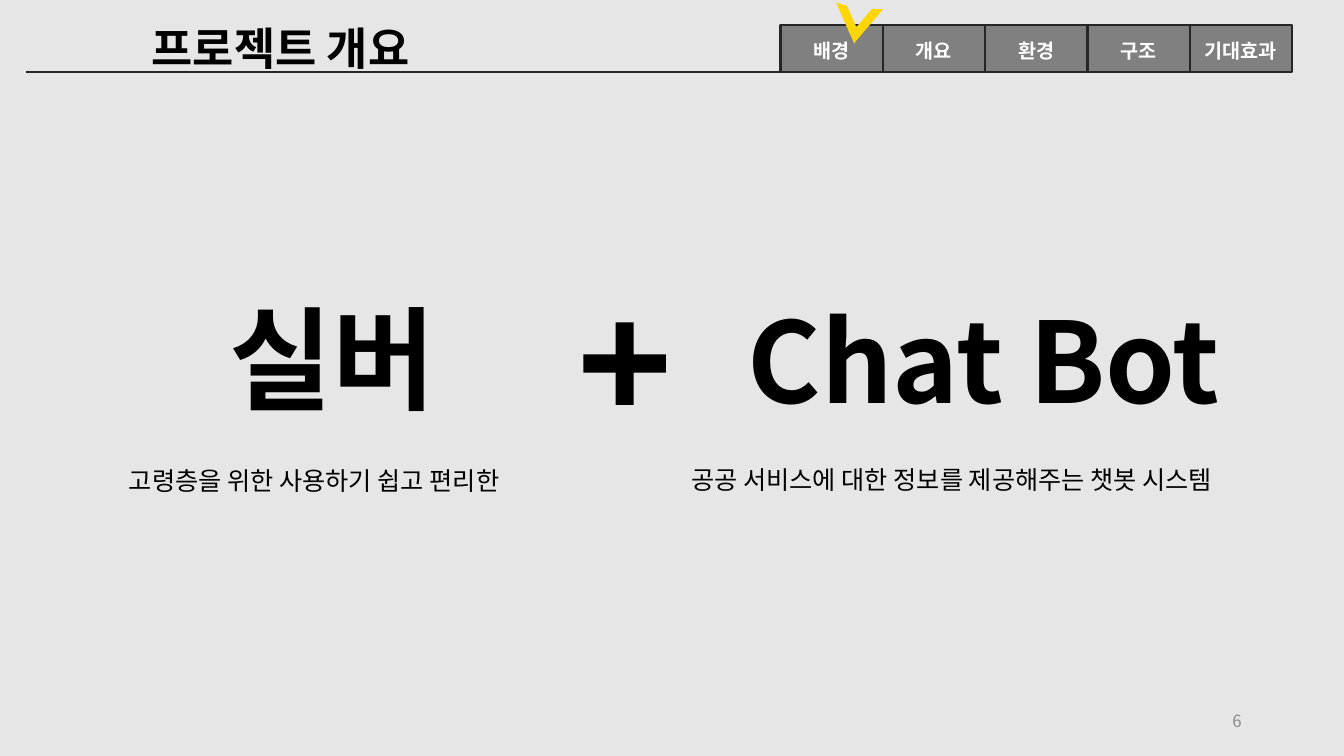
"""Build the project overview slide with its section tabs and two-part concept."""
from lxml.etree import SubElement
from pptx import Presentation
from pptx.dml.color import RGBColor
from pptx.enum.shapes import MSO_CONNECTOR, MSO_SHAPE
from pptx.enum.text import MSO_ANCHOR, PP_ALIGN
from pptx.oxml.ns import qn
from pptx.util import Pt

FONT = "Noto Sans CJK KR"
BACKGROUND = RGBColor(0xE7, 0xE6, 0xE6)
BLACK = RGBColor(0, 0, 0)
WHITE = RGBColor(0xFF, 0xFF, 0xFF)
TAB_GRAY = RGBColor(0x80, 0x80, 0x80)
OUTLINE = RGBColor(0x26, 0x26, 0x26)
YELLOW = RGBColor(0xFC, 0xD6, 0x05)
NUMBER_GRAY = RGBColor(0x8C, 0x8C, 0x8C)


def write(shape, text, size, color, bold, align, anchor):
    frame = shape.text_frame
    frame.word_wrap = True
    frame.vertical_anchor = anchor
    paragraph = frame.paragraphs[0]
    paragraph.text = text
    paragraph.alignment = align
    font = paragraph.font
    font.name, font.size, font.bold = FONT, Pt(size), bold
    font.color.rgb = color
    properties = paragraph._p.pPr.find(qn("a:defRPr"))
    SubElement(properties, qn("a:ea")).set("typeface", FONT)


def add_filled(shapes, kind, left, top, width, height, color):
    shape = shapes.add_shape(kind, Pt(left), Pt(top), Pt(width), Pt(height))
    shape.shadow.inherit = False
    shape.fill.solid()
    shape.fill.fore_color.rgb = color
    shape.line.fill.background()
    return shape


presentation = Presentation()
presentation.slide_width, presentation.slide_height = Pt(960), Pt(540)
slide = presentation.slides.add_slide(presentation.slide_layouts[6])
slide.background.fill.solid()
slide.background.fill.fore_color.rgb = BACKGROUND

header_line = slide.shapes.add_connector(
    MSO_CONNECTOR.STRAIGHT, Pt(18.7), Pt(51.5), Pt(923), Pt(51.5))
header_line.line.color.rgb = OUTLINE
header_line.line.width = Pt(1.5)
SubElement(header_line._element.spPr, qn("a:effectLst"))

tabs = slide.shapes.add_group_shape()
for index, label in enumerate(["배경", "개요", "환경", "구조", "기대효과"]):
    tab = add_filled(tabs.shapes, MSO_SHAPE.RECTANGLE,
                     557.5 + 73.1 * index, 18, 73, 33.4, TAB_GRAY)
    tab.line.color.rgb = OUTLINE
    tab.line.width = Pt(1.5)
    tab.text_frame.margin_bottom = 0
    write(tab, label, 14, WHITE, True, PP_ALIGN.CENTER, MSO_ANCHOR.MIDDLE)

check_mark = slide.shapes.add_group_shape()
for left, top, rotation, flip in [(610, 6.5, 0, "0"), (593.3, 4.3, 16.5, "1")]:
    stroke = add_filled(check_mark.shapes, MSO_SHAPE.DIAGONAL_STRIPE,
                        left, top, 20.9, 24.5, YELLOW)
    stroke.adjustments[0] = 0.61
    stroke.rotation = rotation
    stroke._element.spPr.find(qn("a:xfrm")).set("flipH", flip)

plus = add_filled(slide.shapes, MSO_SHAPE.CROSS, 416.7, 230.2, 59, 59, BLACK)
plus.adjustments[0] = 0.39

CENTER, LEFT, RIGHT = PP_ALIGN.CENTER, PP_ALIGN.LEFT, PP_ALIGN.RIGHT
TOP, MIDDLE = MSO_ANCHOR.TOP, MSO_ANCHOR.MIDDLE
texts = [
    ("프로젝트 개요", -57, 11.5, 515, 46, 32, BLACK, True, CENTER, TOP),
    ("실버", 128, 203, 219, 104.4, 80, BLACK, True, CENTER, TOP),
    ("Chat Bot", 500.4, 204.5, 404.6, 104.4, 80, BLACK, True, CENTER, TOP),
    ("고령층을 위한 사용하기 쉽고 편리한",
     85, 329, 467, 51, 18, BLACK, False, LEFT, TOP),
    ("공공 서비스에 대한 정보를 제공해주는 챗봇 시스템",
     486.7, 328, 467, 51, 18, BLACK, False, LEFT, TOP),
    ("6", 678, 500.5, 216, 28.8, 12, NUMBER_GRAY, False, RIGHT, MIDDLE),
]
for text, left, top, width, height, *style in texts:
    box = slide.shapes.add_textbox(Pt(left), Pt(top), Pt(width), Pt(height))
    write(box, text, *style)

presentation.save("out.pptx")
